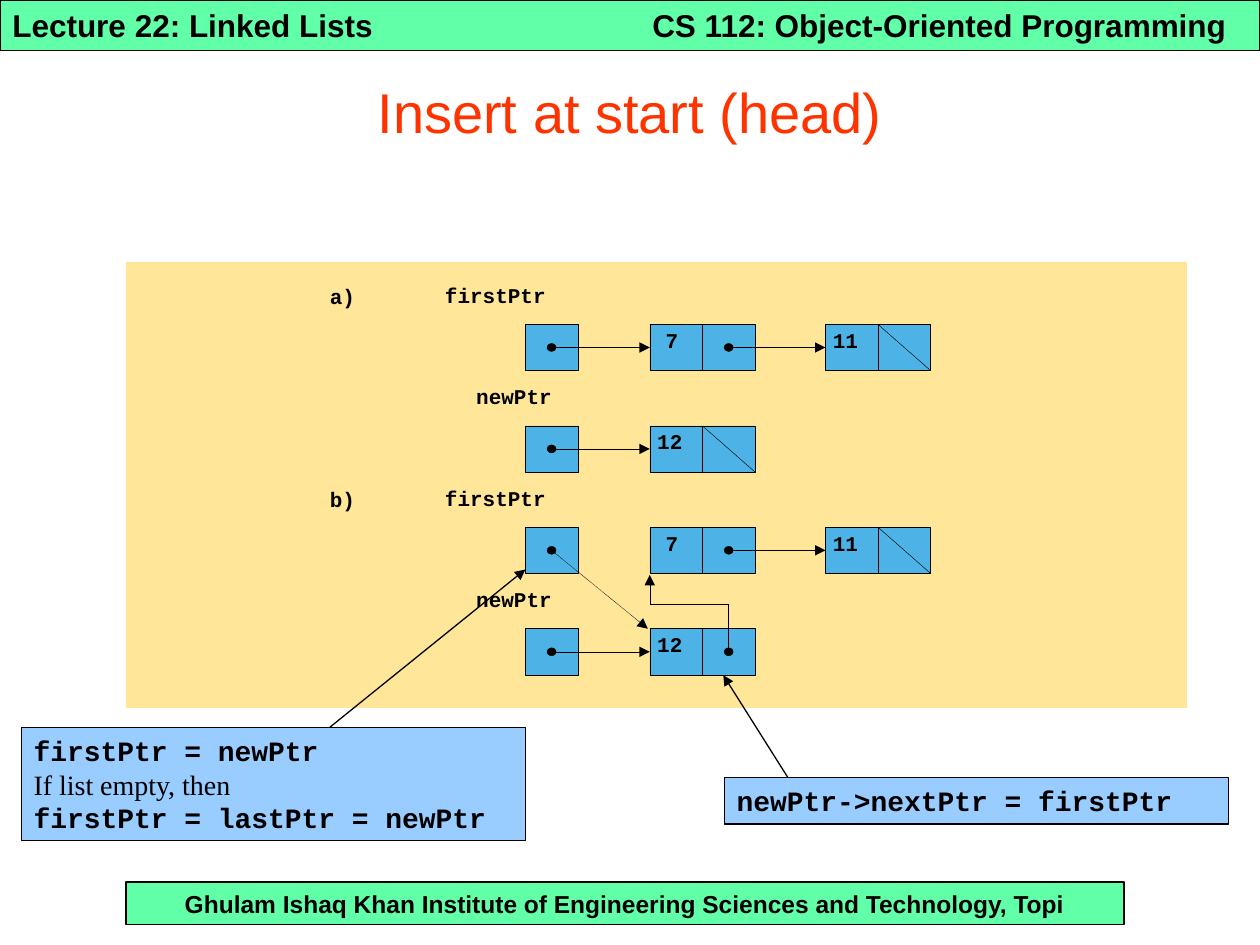
from lxml.etree import SubElement
from pptx import Presentation
from pptx.dml.color import RGBColor
from pptx.enum.dml import MSO_LINE
from pptx.enum.shapes import MSO_CONNECTOR, MSO_SHAPE
from pptx.enum.text import MSO_ANCHOR, PP_ALIGN
from pptx.oxml.ns import qn
from pptx.util import Cm, Pt

COLORS = {
    "black": "000000",
    "banner": "61FFA8",
    "title": "FF3300",
    "panel": "FFE699",
    "cell": "4DB3E6",
    "callout": "99CCFF",
}
CODE_FONT = "Courier New"
THIN, NORMAL = 0.25, 0.75

# List diagram grid, in centimetres
ROW_TOP, ROW_PITCH = 6.54, 2.045
CELL_WIDTH, CELL_HEIGHT = 1.06, 0.93
POINTER_LEFT, FIRST_LEFT, SECOND_LEFT = 10.59, 13.1, 16.64


def color(name):
    return RGBColor.from_string(COLORS[name])


def format_runs(frame, font, size, bold=False, name="black"):
    for para in frame.paragraphs:
        for span in para.runs:
            span.font.name = font
            span.font.size = Pt(size)
            span.font.bold = bold
            span.font.color.rgb = color(name)


def set_line(shape, width):
    shape.line.color.rgb = color("black")
    shape.line.width = Pt(width)


def add_arrowhead(shape):
    SubElement(shape.line._get_or_add_ln(), qn("a:tailEnd"), type="triangle")


def add_block(page, left, top, width, height, fill, line=None, kind=MSO_SHAPE.RECTANGLE):
    shape = page.shapes.add_shape(kind, Cm(left), Cm(top), Cm(width), Cm(height))
    shape.shadow.inherit = False
    shape.fill.solid()
    shape.fill.fore_color.rgb = color(fill)
    if line:
        set_line(shape, line)
    else:
        shape.line.fill.background()
    return shape


def fill_text(box, text, font, size, align=PP_ALIGN.LEFT):
    frame = box.text_frame
    frame.word_wrap = True
    frame.vertical_anchor = MSO_ANCHOR.MIDDLE
    frame.text = text
    for para in frame.paragraphs:
        para.alignment = align
    format_runs(frame, font, size, bold=True)
    return frame


def add_label(page, text, left, top, width):
    box = page.shapes.add_textbox(Cm(left), Cm(top), Cm(width), Cm(0.68))
    frame = box.text_frame
    frame.margin_left = frame.margin_right = frame.margin_top = frame.margin_bottom = 0
    frame.word_wrap = True
    frame.text = text
    frame.paragraphs[0].line_spacing = 0.72
    format_runs(frame, CODE_FONT, 12, bold=True)


def add_line(page, start, end, width=THIN, arrow=True):
    line = page.shapes.add_connector(
        MSO_CONNECTOR.STRAIGHT, *(Cm(value) for value in (*start, *end)))
    SubElement(line._element.spPr, qn("a:effectLst"))
    set_line(line, width)
    if arrow:
        add_arrowhead(line)
    return line


def add_elbow_arrow(page, points):
    corners = [(Cm(x), Cm(y)) for x, y in points]
    builder = page.shapes.build_freeform(*corners[0])
    builder.add_line_segments(corners[1:], close=False)
    path = builder.convert_to_shape()
    path.shadow.inherit = False
    path.fill.background()
    set_line(path, THIN)
    path.line.dash_style = MSO_LINE.ROUND_DOT
    add_arrowhead(path)


def row_top(row):
    return ROW_TOP + row * ROW_PITCH


def add_cell(page, left, top):
    add_block(page, left, top, CELL_WIDTH, CELL_HEIGHT, "cell", THIN)


def add_pointer_cell(page, left, top):
    """Draw a cell with a dot and return the centre of the dot."""
    add_cell(page, left, top)
    x, y = left + CELL_WIDTH / 2, top + CELL_HEIGHT / 2
    add_block(page, x - 0.09, y - 0.08, 0.18, 0.16, "black", THIN, MSO_SHAPE.OVAL)
    return x, y


def add_node(page, value, left, row, is_null=False):
    """Draw a value cell and a link cell; return the link's dot, if any."""
    top, link_left = row_top(row), left + CELL_WIDTH
    add_cell(page, left, top)
    add_label(page, value, left + (0.15 if len(value) > 1 else 0.32), top + 0.19, 0.76)
    if not is_null:
        return add_pointer_cell(page, link_left, top)
    add_cell(page, link_left, top)
    add_line(page, (link_left, top),
             (link_left + CELL_WIDTH, top + CELL_HEIGHT), arrow=False)


def add_pointer(page, name, row, label_left):
    add_label(page, name, label_left, row_top(row) - 0.72, 2.69)
    return add_pointer_cell(page, POINTER_LEFT, row_top(row))


def add_state(page, letter, row, inserted):
    """Draw firstPtr's list and, one row below, newPtr's node."""
    add_label(page, letter, 6.65, row_top(row) - 0.7, 0.69)
    first_dot = add_pointer(page, "firstPtr", row, 8.97)
    link_dot = add_node(page, "7", FIRST_LEFT, row)
    add_node(page, "11", SECOND_LEFT, row, is_null=True)
    add_line(page, link_dot, (SECOND_LEFT, link_dot[1]))

    new_dot = add_pointer(page, "newPtr", row + 1, 9.6)
    new_link = add_node(page, "12", FIRST_LEFT, row + 1, is_null=not inserted)
    add_line(page, new_dot, (FIRST_LEFT, new_dot[1]))

    if inserted:
        dotted = add_line(page, first_dot, (FIRST_LEFT - 0.04, row_top(row + 1)))
        dotted.line.dash_style = MSO_LINE.ROUND_DOT
        bend = row_top(row) + 1.55
        add_elbow_arrow(page, [new_link, (new_link[0], bend), (FIRST_LEFT, bend),
                               (FIRST_LEFT, row_top(row) + CELL_HEIGHT + 0.03)])
    else:
        add_line(page, first_dot, (FIRST_LEFT, first_dot[1]))


def add_callout(page, text, left, top, height, start_x, target):
    box = add_block(page, left, top, 10.16, height, "callout", NORMAL)
    add_line(page, (start_x, top), target, NORMAL)
    return fill_text(box, text, CODE_FONT, 16)


def main():
    deck = Presentation()
    deck.slide_width, deck.slide_height = Cm(25.4), Cm(19.05)
    page = deck.slides.add_slide(deck.slide_layouts[5])

    # Header and footer
    footer = add_block(page, 2.54, 17.78, 20.12, 0.86, "banner", NORMAL)
    fill_text(footer, "Ghulam Ishaq Khan Institute of Engineering Sciences and Technology, Topi",
              "Arial", 14, PP_ALIGN.CENTER)
    header = add_block(page, 0, 0, 25.4, 1.02, "banner", NORMAL)
    fill_text(header, "Lecture 22: Linked Lists", "Arial", 18)
    course = page.shapes.add_textbox(Cm(12.9), 0, Cm(12.5), Cm(1.02))
    fill_text(course, "CS 112: Object-Oriented Programming", "Arial", 18)

    # Title
    title = page.shapes.title
    title.left, title.top, title.width, title.height = 0, Cm(1.07), Cm(25.4), Cm(2.34)
    title.text_frame.text = "Insert at start (head)"
    title.text_frame.vertical_anchor = MSO_ANCHOR.MIDDLE
    title.text_frame.paragraphs[0].alignment = PP_ALIGN.CENTER
    format_runs(title.text_frame, "Arial", 32, name="title")

    # List before and after the insertion
    add_block(page, 2.54, 5.28, 21.39, 8.99, "panel")
    add_state(page, "a)", 0, inserted=False)
    add_state(page, "b)", 2, inserted=True)

    # Callouts
    add_callout(page, "newPtr->nextPtr = firstPtr", 14.6, 15.67, 0.94, 15.88, (14.58, 13.61))
    steps = add_callout(
        page, "firstPtr = newPtr\nIf list empty, then\nfirstPtr = lastPtr = newPtr",
        0.43, 14.66, 2.29, 6.65, (10.59, 11.48))
    condition = steps.paragraphs[1].runs[0].font
    condition.name, condition.bold = "Times New Roman", False

    deck.save("out.pptx")


if __name__ == "__main__":
    main()
